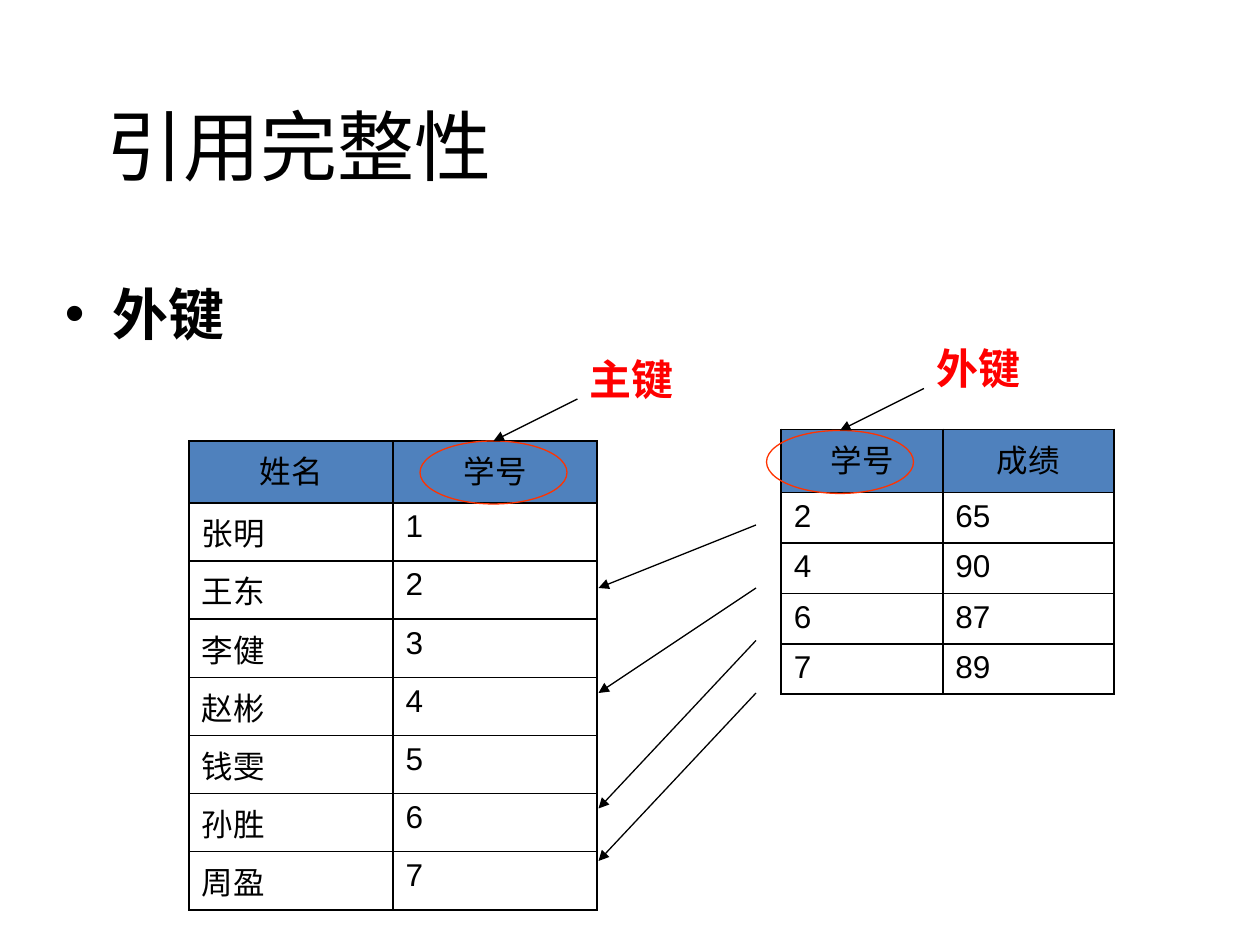
"""Slide on referential integrity: a foreign key pointing at a primary key."""
from lxml.etree import SubElement
from pptx import Presentation
from pptx.dml.color import RGBColor
from pptx.enum.shapes import MSO_CONNECTOR as Link, MSO_SHAPE as Shape
from pptx.enum.text import MSO_ANCHOR as Anchor, PP_ALIGN as Align
from pptx.oxml.ns import qn
from pptx.util import Inches, Pt

COLORS = {"ink": "000000", "header": "4F81BD", "ring": "FF3300", "label": "FF0000"}
CJK = "Noto Sans CJK SC"
TITLE, TOPIC = "引用完整性", "外键"
STUDENTS = [("姓名", "学号"), ("张明", "1"), ("王东", "2"), ("李健", "3"),
            ("赵彬", "4"), ("钱雯", "5"), ("孙胜", "6"), ("周盈", "7")]
SCORES = [("学号", "成绩"), ("2", "65"), ("4", "90"), ("6", "87"), ("7", "89")]
TABLES = [
    (STUDENTS, (18, 42), (19.44, 19.44), 5.9, 5.54),
    (SCORES, (74.4, 40.9), (15.4, 16.3), 6, 4.8),
]
KEYS = [("外键", 73, 41), ("主键", 40, 42)]
REFERENCES = [(50, 56), (56, 66), (61, 77), (66, 82)]
FOREIGN_X, PRIMARY_X = 72, 57


def grid(*cells):
    return [Inches(cell / 12) for cell in cells]


def rgb(name):
    return RGBColor.from_string(COLORS[name])


def write(frame, text, size, font, color="ink", bold=False):
    frame.text = text
    paragraph = frame.paragraphs[0]
    run = paragraph.runs[0]
    run.font.size, run.font.name, run.font.bold = Pt(size), font, bold
    run.font.color.rgb = rgb(color)
    SubElement(run.font._element, qn("a:ea"), typeface=CJK)
    return paragraph


def add_text(shapes, box, *style):
    frame = shapes.add_textbox(*grid(*box)).text_frame
    frame.word_wrap = True
    return frame, write(frame, *style)


def add_arrow(shapes, start, end):
    arrow = shapes.add_connector(Link.STRAIGHT, *grid(*start, *end))
    arrow.line.color.rgb, arrow.line.width = rgb("ink"), Pt(0.75)
    SubElement(arrow.line._get_or_add_ln(), qn("a:tailEnd"), type="triangle")
    SubElement(arrow._element.spPr, qn("a:effectLst"))
    return arrow


def add_borders(cell):
    properties = cell._tc.get_or_add_tcPr()
    for side in ("lnL", "lnR", "lnT", "lnB"):
        border = SubElement(properties, qn(f"a:{side}"), w=str(Pt(1)))
        fill = SubElement(border, qn("a:solidFill"))
        SubElement(fill, qn("a:srgbClr"), val=COLORS["ink"])


def add_records(shapes, records, corner, widths, header_row, body_row):
    heights = [header_row] + [body_row] * (len(records) - 1)
    size = sum(widths), sum(heights)
    table = shapes.add_table(len(records), len(widths), *grid(*corner, *size)).table
    for column, width in zip(table.columns, grid(*widths)):
        column.width = width
    for row, height, record in zip(table.rows, grid(*heights), records):
        row.height = height
        for cell, value in zip(row.cells, record):
            is_header = record is records[0]
            font = "Arial" if is_header or value.isdigit() else CJK
            paragraph = write(cell.text_frame, value, 18, font)
            add_borders(cell)
            if is_header:
                paragraph.alignment = Align.CENTER
                cell.fill.solid()
                cell.fill.fore_color.rgb = rgb("header")
            else:
                cell.fill.background()


def add_key(shapes, name, left, top):
    ring = shapes.add_shape(Shape.OVAL, *grid(left, top, 14, 6))
    ring.shadow.inherit = False
    ring.fill.background()
    ring.line.color.rgb, ring.line.width = rgb("ring"), Pt(0.75)
    arrow = add_arrow(shapes, (left + 15, top - 4), (left + 7, top))
    arrow.end_connect(ring, 0)
    box = left + 15, top - 8, 11, 5
    _, label = add_text(shapes, box, name, 24, "Arial", "label", True)
    label.line_spacing = 0.8


def main():
    deck = Presentation()
    deck.slide_width, deck.slide_height = Inches(10), Inches(7.5)
    shapes = deck.slides.add_slide(deck.slide_layouts[6]).shapes

    title, _ = add_text(shapes, (9, 4.3, 101, 18.9), TITLE, 44, "Calibri")
    title.vertical_anchor = Anchor.MIDDLE

    for table in TABLES:
        add_records(shapes, *table)

    _, topic = add_text(shapes, (5, 26, 89, 9), TOPIC, 32, "Arial Narrow", "ink", True)
    topic.alignment = Align.JUSTIFY
    bullet = topic._p.get_or_add_pPr()
    bullet.set("marL", str(Inches(0.38)))
    bullet.set("indent", str(-Inches(0.38)))
    SubElement(bullet, qn("a:buFont"), typeface="Arial")
    SubElement(bullet, qn("a:buChar"), char="•")

    for key in KEYS:
        add_key(shapes.add_group_shape().shapes, *key)

    references = shapes.add_group_shape().shapes
    for foreign_y, primary_y in REFERENCES:
        add_arrow(references, (FOREIGN_X, foreign_y), (PRIMARY_X, primary_y))

    deck.save("out.pptx")


if __name__ == "__main__":
    main()
